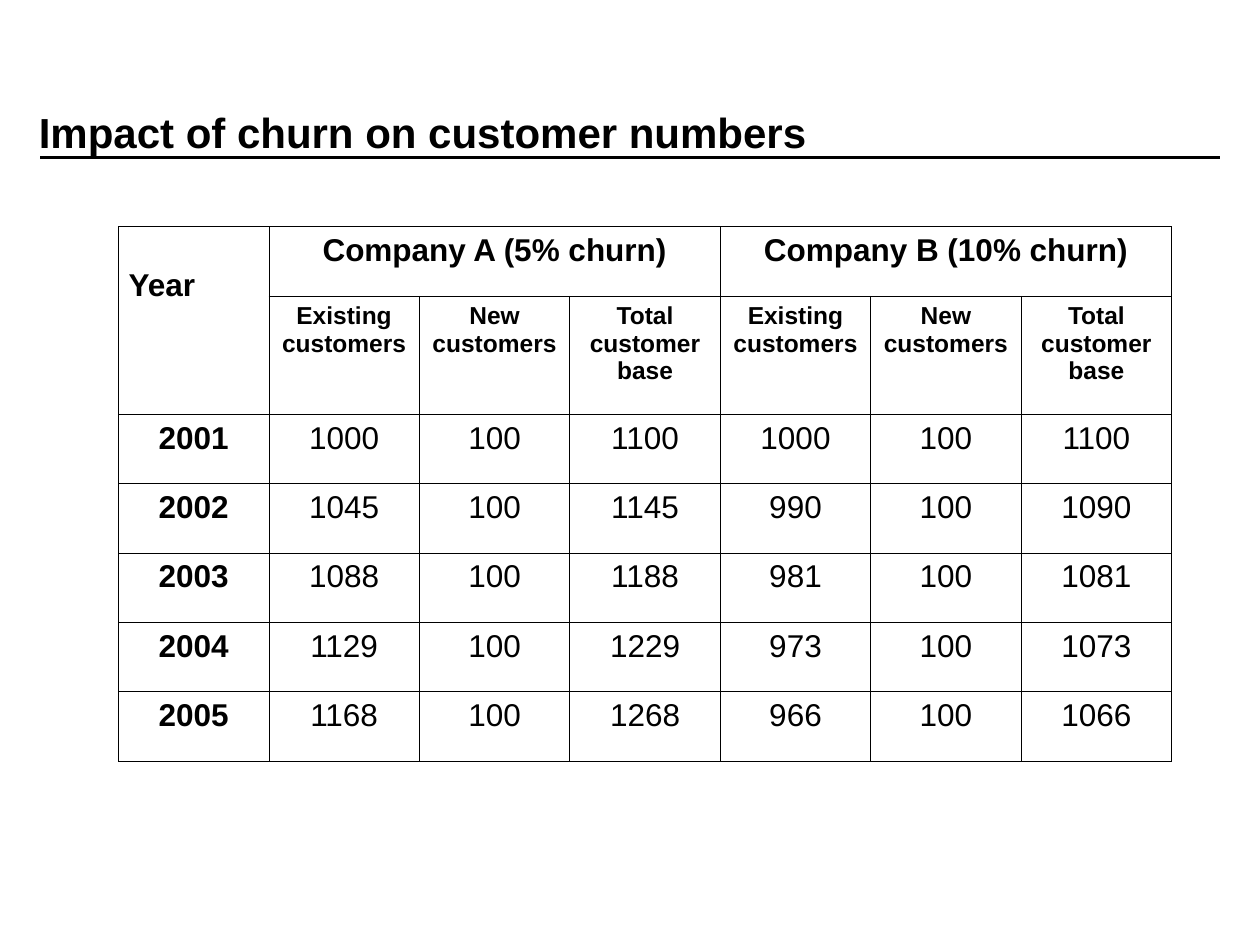
from dataclasses import dataclass

from pptx import Presentation
from pptx.dml.color import RGBColor
from pptx.enum.shapes import MSO_CONNECTOR
from pptx.enum.text import MSO_ANCHOR, PP_ALIGN
from pptx.oxml import parse_xml
from pptx.oxml.ns import nsdecls
from pptx.util import Inches, Pt


@dataclass(frozen=True)
class Theme:
    font: str = "Arial"
    ink: str = "000000"
    title: int = 24
    body: int = 18
    subhead: int = 14
    rule: float = 2
    border: float = 0.45


THEME = Theme()
YEARS = range(2001, 2006)
NEW_CUSTOMERS = 100
SUBHEADS = ["Existing customers", "New customers", "Total customer base"]
COMPANIES = {  # existing customers by year
    "Company A (5% churn)": [1000, 1045, 1088, 1129, 1168],
    "Company B (10% churn)": [1000, 990, 981, 973, 966],
}


def write(tf, text, size=THEME.body, bold=False, align=PP_ALIGN.CENTER):
    tf.word_wrap = True
    p = tf.paragraphs[0]
    p.alignment = align
    r = p.add_run()
    r.text = text
    r.font.name = THEME.font
    r.font.size = Pt(size)
    r.font.bold = bold
    r.font.color.rgb = RGBColor.from_string(THEME.ink)


def add_rule(s, x1, x2, y):
    line = s.shapes.add_connector(MSO_CONNECTOR.STRAIGHT, Inches(x1), Inches(y),
                                  Inches(x2), Inches(y))
    line.line.color.rgb = RGBColor.from_string(THEME.ink)
    line.line.width = Pt(THEME.rule)
    line._element.spPr.append(parse_xml(f"<a:effectLst {nsdecls('a')}/>"))


def add_title(s, text):
    sp = s.shapes.add_textbox(Inches(0.21), Inches(0.42), Inches(9.4), Inches(1.25))
    sp.text_frame.vertical_anchor = MSO_ANCHOR.MIDDLE
    write(sp.text_frame, text, size=THEME.title, bold=True, align=PP_ALIGN.LEFT)


def style_cell(cell):
    cell.margin_left = cell.margin_right = Inches(0.08)
    cell.margin_top = cell.margin_bottom = Inches(0.05)
    tc_pr = cell._tc.get_or_add_tcPr()
    for side in ("lnL", "lnR", "lnT", "lnB"):
        tc_pr.append(parse_xml(
            f'<a:{side} {nsdecls("a")} w="{Pt(THEME.border)}"><a:solidFill>'
            f'<a:srgbClr val="{THEME.ink}"/></a:solidFill></a:{side}>'))
    cell.fill.background()


def add_churn_table(s):
    heights = [0.55, 0.94] + [0.55] * len(YEARS)
    group = len(SUBHEADS)
    n_cols = 1 + group * len(COMPANIES)
    width = 8.36
    table = s.shapes.add_table(len(heights), n_cols, Inches(0.94), Inches(1.8),
                               Inches(width), Inches(sum(heights))).table
    table.first_row = table.horz_banding = False
    for col in table.columns:
        col.width = Inches(width / n_cols)
    for row, height in zip(table.rows, heights):
        row.height = Inches(height)
    for cell in table.iter_cells():
        style_cell(cell)

    # Year column
    year = table.cell(0, 0)
    year.merge(table.cell(1, 0))
    year.margin_top = Inches(0.33)  # one line lower than the other headings
    write(year.text_frame, "Year", bold=True, align=PP_ALIGN.LEFT)
    for i, value in enumerate(YEARS, start=2):
        write(table.cell(i, 0).text_frame, str(value), bold=True)

    # One group of columns per company
    for k, (company, existing) in enumerate(COMPANIES.items()):
        left = 1 + k * group
        head = table.cell(0, left)
        head.merge(table.cell(0, left + group - 1))
        write(head.text_frame, company, bold=True)
        for j, text in enumerate(SUBHEADS, start=left):
            write(table.cell(1, j).text_frame, text, size=THEME.subhead, bold=True)
        for i, count in enumerate(existing, start=2):
            values = (count, NEW_CUSTOMERS, count + NEW_CUSTOMERS)
            for j, value in enumerate(values, start=left):
                write(table.cell(i, j).text_frame, str(value))


def main():
    prs = Presentation()
    prs.slide_width, prs.slide_height = Inches(10), Inches(7.5)
    s = prs.slides.add_slide(prs.slide_layouts[6])
    add_rule(s, 0.32, 9.68, 1.25)
    add_title(s, "Impact of churn on customer numbers")
    add_churn_table(s)
    prs.save("out.pptx")


if __name__ == "__main__":
    main()
